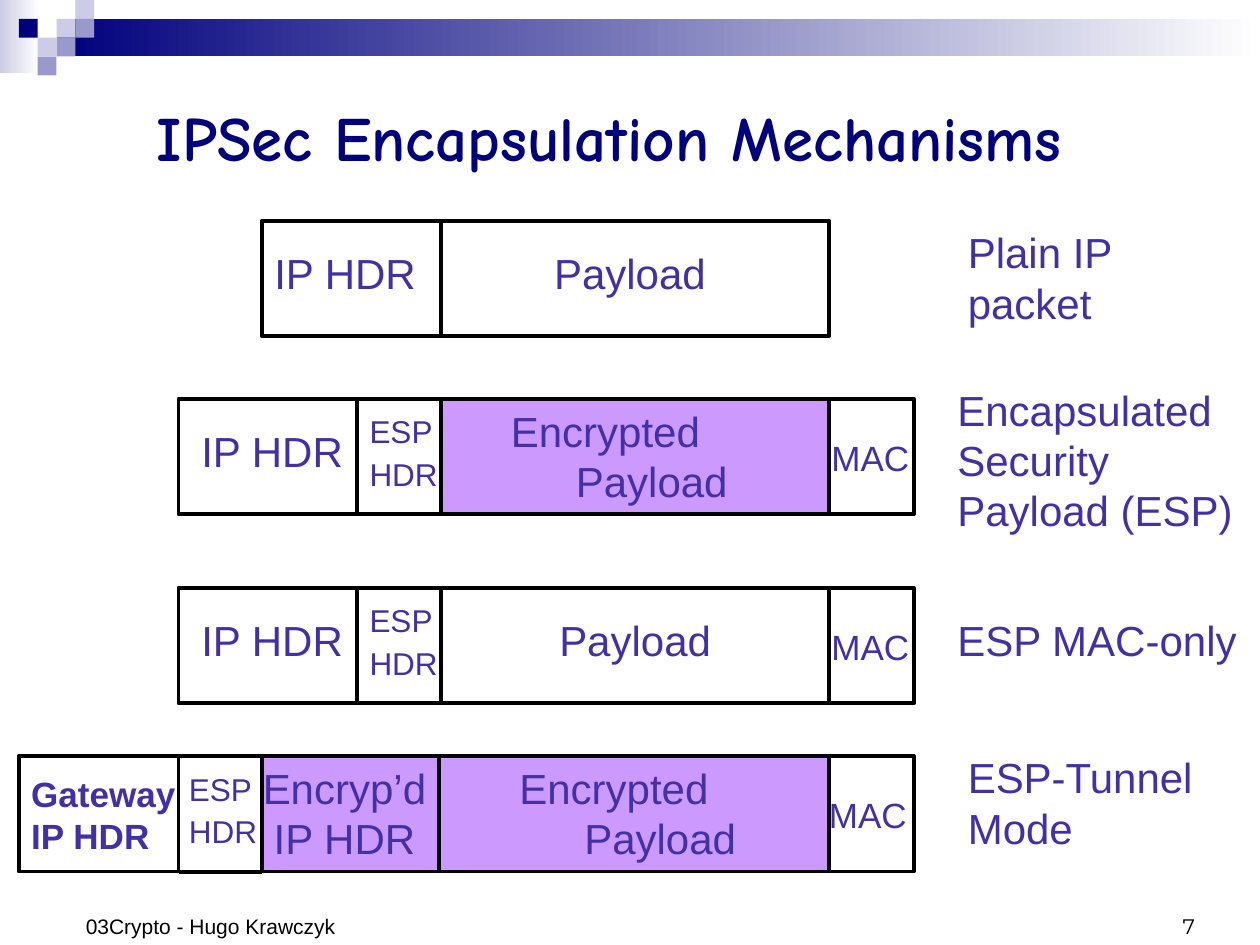
from lxml import etree
from pptx import Presentation
from pptx.dml.color import RGBColor
from pptx.enum.shapes import MSO_CONNECTOR, MSO_SHAPE
from pptx.enum.text import MSO_ANCHOR, PP_ALIGN
from pptx.oxml.ns import qn
from pptx.util import Cm, Pt

RECT, STRAIGHT = MSO_SHAPE.RECTANGLE, MSO_CONNECTOR.STRAIGHT
LEFT, CENTER, RIGHT = PP_ALIGN.LEFT, PP_ALIGN.CENTER, PP_ALIGN.RIGHT
TOP, MIDDLE, BOTTOM = MSO_ANCHOR.TOP, MSO_ANCHOR.MIDDLE, MSO_ANCHOR.BOTTOM

COLORS = {
    "navy": "00007D", "blue": "9999CC", "pale": "CCCCE6", "white": "FFFFFF",
    "text": "4330A4", "encrypted": "CC99FF", "black": "000000",
}
ROW_H = 2.33
# Edges shared by the packet fields, in cm
OUTER, ESP, INNER, PAYLOAD, MAC, END = 3.6, 7.2, 5.28, 8.89, 16.72, 18.42
PLAIN_TOP, ESP_TOP, MAC_ONLY_TOP, TUNNEL_TOP = 4.45, 8.04, 11.85, 15.24


def rgb(name):
    return RGBColor.from_string(COLORS[name])


class PacketSlide:
    def __init__(self, slide):
        self.slide = slide
        self.font = "Arial"
        self.line_width = Pt(2.25)

    def add_run(self, p, text, size, color="text", bold=False, font=None):
        r = p.add_run()
        r.text = text
        r.font.size, r.font.bold = Pt(size), bold
        r.font.name = font or self.font
        r.font.color.rgb = rgb(color)

    def title(self, text):
        sp = self.slide.shapes.title
        sp.left, sp.top, sp.width, sp.height = Cm(0.85), Cm(0.85), Cm(22.86), Cm(3.81)
        tf = sp.text_frame
        tf.vertical_anchor = MIDDLE
        p = tf.paragraphs[0]
        p.alignment = CENTER
        self.add_run(p, text, 36, "navy", True, "Comic Neue")

    def rect(self, x, y, w, h, fill=None, outlined=False):
        """Add a rectangle; a pair of colours as fill makes a left-to-right gradient."""
        sp = self.slide.shapes.add_shape(RECT, Cm(x), Cm(y), Cm(w), Cm(h))
        sp.shadow.inherit = False
        if fill is None:
            sp.fill.background()
        elif isinstance(fill, tuple):
            sp.fill.gradient()
            sp.fill.gradient_angle = 0
            for stop, color, position in zip(sp.fill.gradient_stops, fill, (0, 1)):
                stop.color.rgb = rgb(color)
                stop.position = position
        else:
            sp.fill.solid()
            sp.fill.fore_color.rgb = rgb(fill)
        if outlined:
            sp.line.color.rgb = rgb("black")
            sp.line.width = self.line_width
        else:
            sp.line.fill.background()

    def field(self, left, right, top, fill=None):
        self.rect(left, top, right - left, ROW_H, fill, outlined=True)

    def line(self, x1, y1, x2, y2):
        cx = self.slide.shapes.add_connector(STRAIGHT, Cm(x1), Cm(y1), Cm(x2), Cm(y2))
        cx.line.color.rgb = rgb("black")
        cx.line.width = self.line_width
        etree.SubElement(cx._element.spPr, qn("a:effectLst"))

    def text(self, x, y, w, h, *paragraphs, size=24, align=LEFT, anchor=TOP,
             spacing=None, hanging=None, **style):
        box = self.slide.shapes.add_textbox(Cm(x), Cm(y), Cm(w), Cm(h))
        tf = box.text_frame
        tf.word_wrap = True
        tf.vertical_anchor = anchor
        for i, words in enumerate(paragraphs):
            p = tf.add_paragraph() if i else tf.paragraphs[0]
            p.alignment = align
            p.space_before = Pt(size * 0.625)
            if spacing:
                p.line_spacing = spacing
            if hanging:
                pPr = p._p.get_or_add_pPr()
                pPr.set("marL", str(Cm(hanging)))
                pPr.set("indent", str(-Cm(hanging - 0.1)))
            self.add_run(p, words, size, **style)

    def ip_header(self, x, top):
        self.text(x, top + 0.42, 3.6, 1.27, "IP HDR")

    def esp_header(self, x, top):
        self.text(x, top + 0.42, 2.33, 1.58, "ESP", "HDR", size=18, spacing=0.6)

    def mac(self, x, top):
        self.text(x, top + 0.64, 2.33, 1.12, "MAC", size=20)

    def payload(self, x, w, top):
        self.text(x, top + 0.42, w, 1.27, "Payload", align=CENTER)

    def encrypted_payload(self, x, top):
        self.text(x, top, 5.92, 2.29, "Encrypted Payload", hanging=1.41)

    def esp_packet(self, top, payload_fill=None):
        """Add the fields that both transport-mode ESP packets share."""
        self.field(OUTER, ESP, top)
        self.field(PAYLOAD, MAC, top, payload_fill)
        self.field(ESP, PAYLOAD, top)
        self.field(MAC, END, top)
        self.ip_header(3.81, top)
        self.esp_header(ESP, top)
        self.mac(16.51, top)


def add_banner(s):
    s.rect(0, 0, 0.79, 1.47, ("pale", "white"))
    s.rect(1.14, 0.38, 24.26, 0.76, ("navy", "white"))
    squares = [(3, 1, "pale"), (4, 0, "pale"), (4, 1, "blue"), (2, 2, "pale"),
               (1, 1, "navy"), (3, 2, "blue"), (2, 3, "blue")]
    for col, row, color in squares:
        s.rect(col * 0.38, row * 0.38, 0.38, 0.38, color)


def add_tunnel_packet(s):
    top, bottom = TUNNEL_TOP, TUNNEL_TOP + ROW_H
    s.field(INNER, 8.85, top, "encrypted")
    s.field(8.85, MAC, top, "encrypted")
    s.field(MAC, END, top)
    s.field(0.38, OUTER, top)
    for y in (top, bottom):
        s.line(INNER, y, OUTER, y)
    s.mac(16.46, top)
    s.encrypted_payload(10.12, top)
    s.text(4.83, top, 4.23, 2.29, "Encryp’d IP HDR", align=CENTER)
    s.text(0.38, top + 0.21, 3.81, 1.95, "Gateway IP HDR", size=20, bold=True)
    s.esp_header(3.56, top)


def main():
    prs = Presentation()
    prs.slide_width, prs.slide_height = Cm(25.4), Cm(19.05)
    s = PacketSlide(prs.slides.add_slide(prs.slide_layouts[5]))
    add_banner(s)
    s.title("IPSec Encapsulation Mechanisms")

    s.field(INNER, PAYLOAD, PLAIN_TOP)
    s.field(PAYLOAD, MAC, PLAIN_TOP)
    s.ip_header(INNER, PLAIN_TOP)
    s.payload(PAYLOAD, 7.62, PLAIN_TOP)
    s.text(19.26, PLAIN_TOP, 4.87, 2.29, "Plain IP packet")

    s.esp_packet(ESP_TOP, "encrypted")
    s.encrypted_payload(9.95, ESP_TOP)
    s.text(19.05, 7.62, 6.35, 3.3, "Encapsulated Security Payload (ESP)")

    s.esp_packet(MAC_ONLY_TOP)
    s.payload(9.1, 7.41, MAC_ONLY_TOP)
    s.text(19.05, MAC_ONLY_TOP + 0.42, 6.35, 1.27, "ESP MAC-only")

    add_tunnel_packet(s)
    s.text(19.26, 15.03, 5.5, 2.29, "ESP-Tunnel Mode")

    s.text(18.42, 17.78, 5.92, 1.27, "7", size=12, align=RIGHT, anchor=BOTTOM,
           color="black", font="Montserrat")
    s.text(1.48, 17.73, 5.92, 1.32, "03Crypto - Hugo Krawczyk", size=12,
           anchor=BOTTOM, color="black")
    prs.save("out.pptx")


if __name__ == "__main__":
    main()
